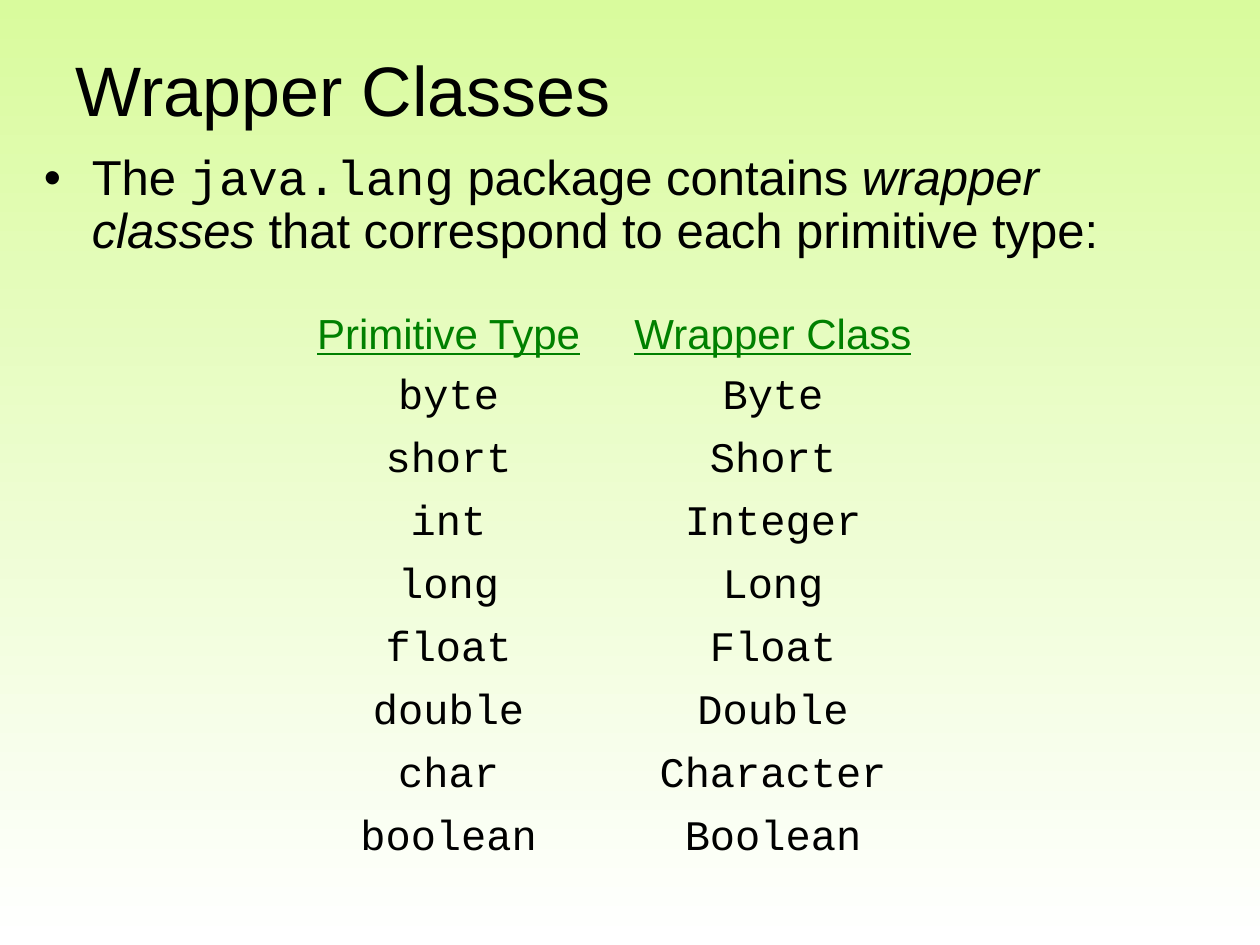
from pptx import Presentation
from pptx.dml.color import RGBColor
from pptx.enum.text import MSO_ANCHOR, PP_ALIGN
from pptx.oxml.ns import qn
from pptx.util import Inches, Pt
from lxml import etree

BLACK = RGBColor(0x00, 0x00, 0x00)
GREEN = RGBColor(0x00, 0x80, 0x00)
LIME = RGBColor(0xD9, 0xFB, 0x9D)
WHITE = RGBColor(0xFF, 0xFF, 0xFF)
SANS = "Arial"
MONO = "Courier New"
LEFT = PP_ALIGN.LEFT
CENTER = PP_ALIGN.CENTER
MIDDLE = MSO_ANCHOR.MIDDLE
NO_STYLE_NO_GRID = "{2D5ABB26-0587-4C30-8999-92F81FD0307C}"


def set_font(font, name, size, color):
    font.name = name
    font.size = Pt(size)
    font.color.rgb = color


presentation = Presentation()
presentation.slide_width = Inches(10)
presentation.slide_height = Inches(7.5)
slide = presentation.slides.add_slide(presentation.slide_layouts[5])

# Background fading from top to bottom
background = slide.background.fill
background.gradient()
background.gradient_angle = 270
for stop, color in zip(background.gradient_stops, (LIME, WHITE)):
    stop.color.rgb = color

# Title
title = slide.shapes.title
title.left, title.top = Inches(0.5), Inches(0.08)
title.width, title.height = Inches(9.08), Inches(1.25)
title.text_frame.text = "Wrapper Classes"
title.text_frame.vertical_anchor = MIDDLE
paragraph = title.text_frame.paragraphs[0]
paragraph.alignment = LEFT
set_font(paragraph.font, SANS, 40, BLACK)

# Introductory bullet
introduction = slide.shapes.add_textbox(
    Inches(0.25), Inches(1.17), Inches(9.42), Inches(1.16))
introduction.text_frame.word_wrap = True
paragraph = introduction.text_frame.paragraphs[0]
paragraph.line_spacing = 0.9
properties = paragraph._p.get_or_add_pPr()
properties.set("marL", str(Inches(0.38)))
properties.set("indent", str(Inches(-0.38)))
etree.SubElement(properties, qn("a:buFont"), typeface=SANS)
etree.SubElement(properties, qn("a:buChar"), char="•")
set_font(paragraph.font, SANS, 28, BLACK)
for text, name, italic in (
    ("The ", SANS, False),
    ("java.lang", MONO, False),
    (" package contains ", SANS, False),
    ("wrapper classes", SANS, True),
    (" that correspond to each primitive type:", SANS, False),
):
    run = paragraph.add_run()
    run.text = text
    set_font(run.font, name, 28, BLACK)
    run.font.italic = italic

# Table of types
type_rows = [
    ("Primitive Type", "Wrapper Class"),
    ("byte", "Byte"),
    ("short", "Short"),
    ("int", "Integer"),
    ("long", "Long"),
    ("float", "Float"),
    ("double", "Double"),
    ("char", "Character"),
    ("boolean", "Boolean"),
]
table_frame = slide.shapes.add_table(
    len(type_rows), 2, Inches(2.25), Inches(2.42), Inches(5.15), Inches(4.5))
table = table_frame.table
table.first_row = False
table.horz_banding = False
table_frame._element.find(".//" + qn("a:tableStyleId")).text = NO_STYLE_NO_GRID
table.columns[0].width = Inches(2.62)
table.columns[1].width = Inches(2.53)

for row_index, names in enumerate(type_rows):
    is_header = row_index == 0
    table.rows[row_index].height = Inches(0.5)
    for column_index, name in enumerate(names):
        cell = table.cell(row_index, column_index)
        cell.fill.background()
        cell.text = name
        paragraph = cell.text_frame.paragraphs[0]
        paragraph.alignment = CENTER
        # Table text takes its look from the run
        font = paragraph.runs[0].font
        set_font(font, SANS if is_header else MONO, 24,
                 GREEN if is_header else BLACK)
        font.underline = is_header

presentation.save("out.pptx")
